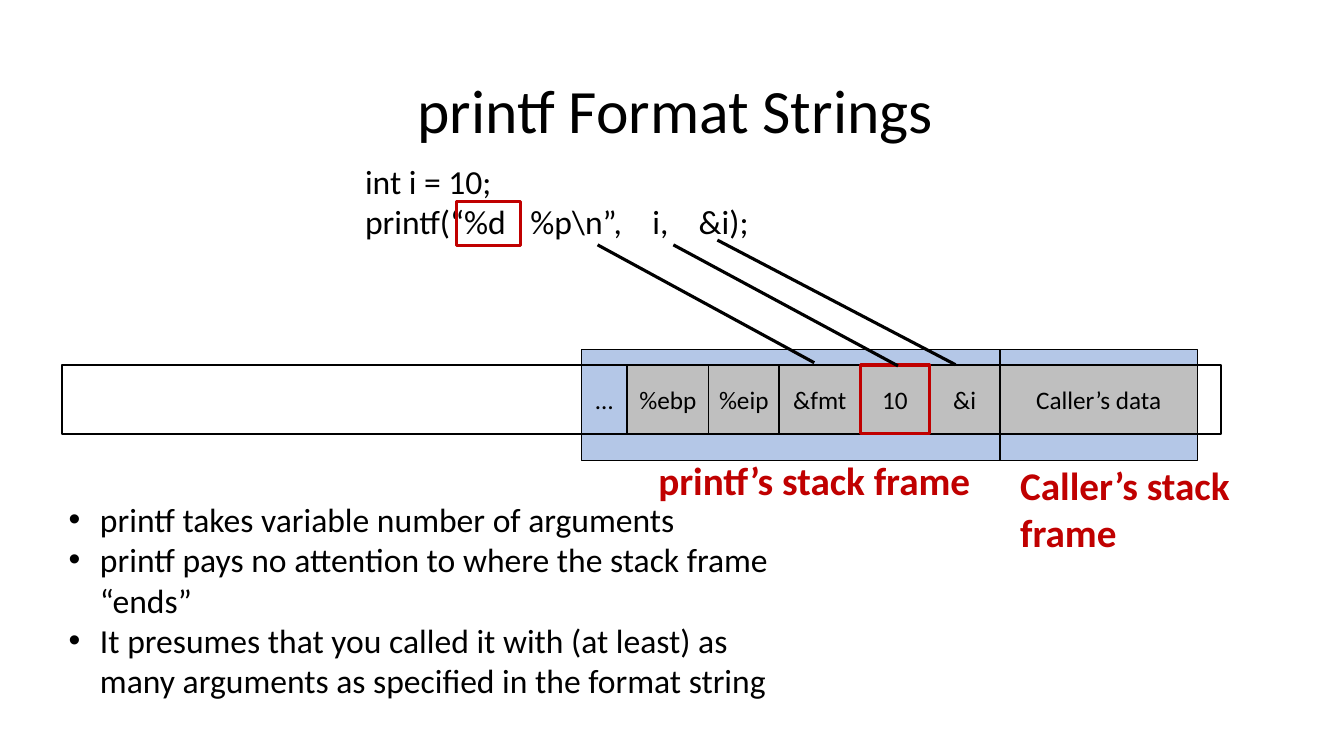
from dataclasses import dataclass

from lxml.etree import SubElement
from pptx import Presentation
from pptx.dml.color import RGBColor
from pptx.enum.shapes import MSO_CONNECTOR, MSO_SHAPE
from pptx.enum.text import MSO_ANCHOR, MSO_AUTO_SIZE, PP_ALIGN
from pptx.oxml.ns import qn
from pptx.util import Cm, Pt

# Content
TITLE = "printf Format Strings"
CODE = ["int i = 10;", "printf(“%d\t%p\\n”,\ti,\t&i);"]
CODE_TABS = [4.17, 7.24, 8.41]
BULLETS = [
    "printf takes variable number of arguments",
    "printf pays no attention to where the stack frame “ends”",
    "It presumes that you called it with (at least) as many arguments "
    "as specified in the format string",
]
# Stack cells from left to right: text, width in cm
CELLS = [
    ("…", 1.14), ("%ebp", 2.06), ("%eip", 1.77), ("&fmt", 2.06),
    ("10", 1.73), ("&i", 1.78), ("Caller’s data", 4.98),
]
HIGHLIGHTED = "10"
FRAME_LABELS = [
    ("printf’s stack frame", (16.56, 11.5, 8.1, 1.24)),
    ("Caller’s stack frame", (25.68, 11.62, 5.45, 2.44)),
]
# Argument in the code -> stack cell: x1, y1, x2, y2
ARGUMENT_LINES = [
    (18.08, 6.05, 24.08, 9.19),
    (16.97, 6.17, 22.63, 9.22),
    (15.06, 6.17, 20.52, 9.14),
]

# Positions in cm: left, top, width, height
TITLE_BOX = (2.54, 0, 28.8, 3.68)
CODE_BOX = (9.17, 4.05, 9.7, 2.11)
BODY_BOX = (1.68, 12.57, 17.78, 5.2)
MEMORY_BOX = (1.57, 9.2, 29.21, 1.73)
FORMAT_BOX = (11.51, 5.08, 1.6, 1.1)
STACK_LEFT, FRAME_TOP, FRAME_HEIGHT = 14.66, 8.81, 2.8


@dataclass(frozen=True)
class Theme:
    font: str = "Calibri"
    black: RGBColor = RGBColor(0, 0, 0)
    red: RGBColor = RGBColor(0xC0, 0, 0)
    frame: RGBColor = RGBColor(0xB4, 0xC7, 0xE7)
    cell: RGBColor = RGBColor(0xBF, 0xBF, 0xBF)
    title_size: int = 44
    text_size: int = 24
    label_size: int = 28
    cell_size: int = 18


THEME = Theme()


def place(shape, box):
    for name, value in zip(("left", "top", "width", "height"), box):
        setattr(shape, name, Cm(value))


def write(shape, lines, size, color=THEME.black, bold=False,
          align=PP_ALIGN.LEFT, anchor=MSO_ANCHOR.TOP, inset=0, spacing=None):
    frame = shape.text_frame
    frame.text = "\n".join(lines)
    frame_format = {
        "word_wrap": True, "auto_size": MSO_AUTO_SIZE.NONE,
        "vertical_anchor": anchor, "margin_left": Cm(inset),
        "margin_top": 0, "margin_right": 0, "margin_bottom": 0,
    }
    for name, value in frame_format.items():
        setattr(frame, name, value)
    paragraph_format = {"alignment": align, "space_before": Pt(0),
                        "line_spacing": spacing}
    font_format = {"name": THEME.font, "size": Pt(size), "bold": bold}
    for paragraph in frame.paragraphs:
        for name, value in paragraph_format.items():
            setattr(paragraph, name, value)
        for run in paragraph.runs:
            for name, value in font_format.items():
                setattr(run.font, name, value)
            run.font.color.rgb = color


def add_box(slide, box, fill=None, line=THEME.black, weight=1):
    shape = slide.shapes.add_shape(MSO_SHAPE.RECTANGLE,
                                   *(Cm(value) for value in box))
    shape.shadow.inherit = False
    if fill is None:
        shape.fill.background()
    else:
        shape.fill.solid()
        shape.fill.fore_color.rgb = fill
    if line is None:
        shape.line.fill.background()
    else:
        shape.line.color.rgb = line
        shape.line.width = Pt(weight)
    return shape


def add_text(slide, box, lines, size, **style):
    shape = slide.shapes.add_textbox(*(Cm(value) for value in box))
    write(shape, lines, size, **style)
    return shape


def add_line(slide, ends):
    line = slide.shapes.add_connector(MSO_CONNECTOR.STRAIGHT,
                                      *(Cm(value) for value in ends))
    line.line.color.rgb = THEME.black
    line.line.width = Pt(2.25)
    SubElement(line._element.spPr, qn("a:effectLst"))


def add_tabs(paragraph, positions):
    tabs = SubElement(paragraph._p.get_or_add_pPr(), qn("a:tabLst"))
    for position in positions:
        SubElement(tabs, qn("a:tab"), pos=str(Cm(position)), algn="l")


def add_stack(slide):
    # Two stack frames; the caller's frame holds only the last cell
    _, top, _, height = MEMORY_BOX
    own_width = sum(width for _, width in CELLS[:-1])
    caller_left = STACK_LEFT + own_width
    for left, width in ((caller_left, CELLS[-1][1]), (STACK_LEFT, own_width)):
        add_box(slide, (left, FRAME_TOP, width, FRAME_HEIGHT), THEME.frame)

    # Cells; the first one shows the frame behind it
    left = STACK_LEFT
    for index, (text, width) in enumerate(CELLS):
        box = (left, top, width, height)
        fill, line = (THEME.cell, THEME.black) if index else (None, None)
        cell = add_box(slide, box, fill, line)
        write(cell, [text], THEME.cell_size, align=PP_ALIGN.CENTER,
              anchor=MSO_ANCHOR.MIDDLE)
        if text == HIGHLIGHTED:
            highlighted_box = box
        left += width

    # Memory strip and red outlines
    add_box(slide, MEMORY_BOX, weight=1.5)
    for box in (FORMAT_BOX, highlighted_box):
        add_box(slide, box, line=THEME.red, weight=2.25)


def main():
    presentation = Presentation()
    presentation.slide_width, presentation.slide_height = Cm(33.87), Cm(19.05)
    slide = presentation.slides.add_slide(presentation.slide_layouts[1])

    # Title and bullet list
    title, body = slide.placeholders
    place(title, TITLE_BOX)
    write(title, [TITLE], THEME.title_size, anchor=MSO_ANCHOR.BOTTOM,
          inset=7.98)
    place(body, BODY_BOX)
    write(body, BULLETS, THEME.text_size, spacing=Pt(28.8))
    for paragraph in body.text_frame.paragraphs:
        properties = paragraph._p.get_or_add_pPr()
        properties.set("marL", str(Cm(0.84)))
        properties.set("indent", str(Cm(-0.79)))

    # Code
    code = add_text(slide, CODE_BOX, CODE, THEME.text_size, inset=0.03)
    add_tabs(code.text_frame.paragraphs[1], CODE_TABS)

    # Stack, its labels and the argument lines
    add_stack(slide)
    for text, box in FRAME_LABELS:
        add_text(slide, box, [text], THEME.label_size, color=THEME.red,
                 bold=True, inset=0.03)
    for ends in ARGUMENT_LINES:
        add_line(slide, ends)

    presentation.save("out.pptx")


if __name__ == "__main__":
    main()
